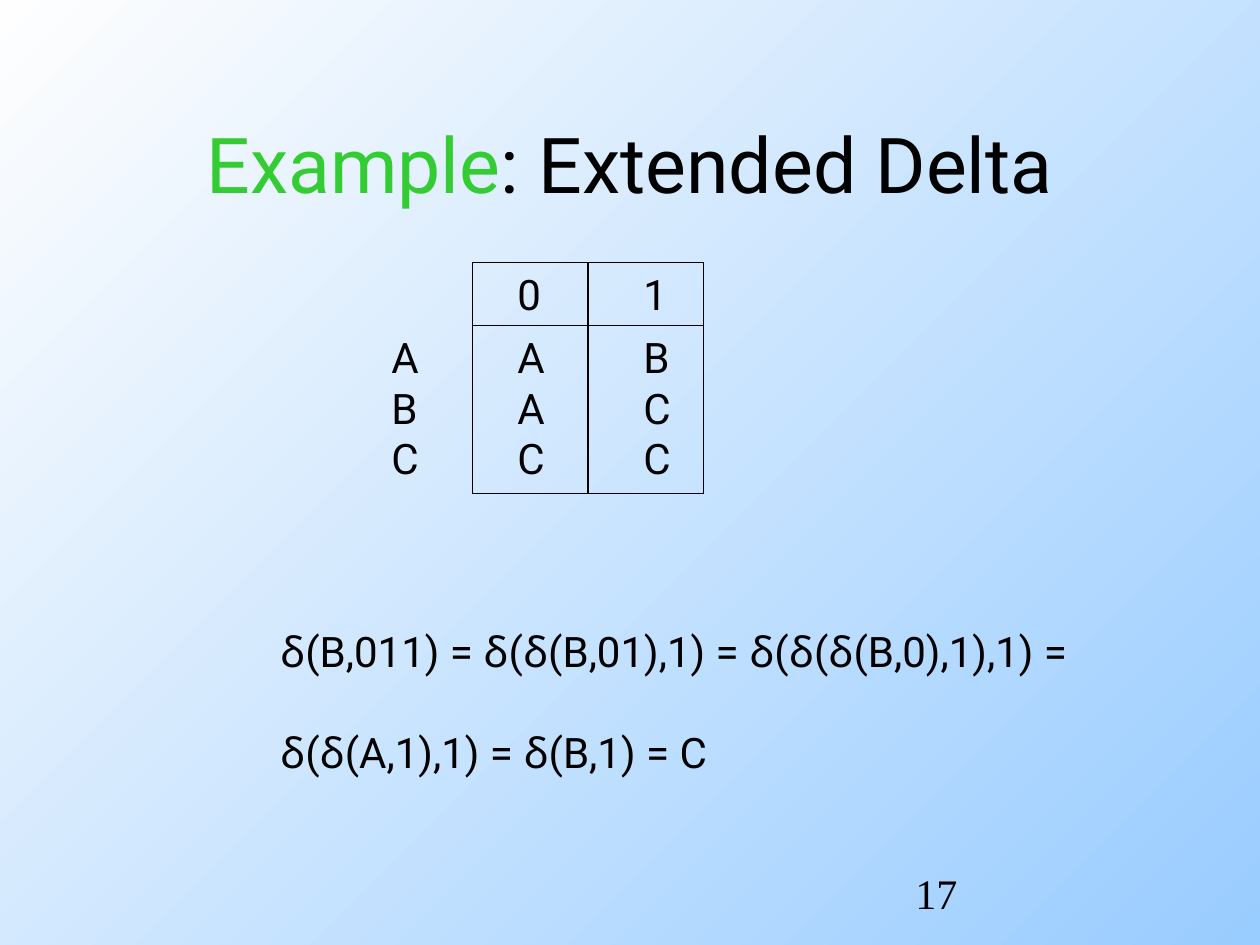
from dataclasses import dataclass
from itertools import groupby

from lxml import etree
from pptx import Presentation
from pptx.dml.color import RGBColor
from pptx.enum.shapes import MSO_CONNECTOR, MSO_SHAPE
from pptx.enum.text import MSO_ANCHOR, MSO_AUTO_SIZE, PP_ALIGN
from pptx.oxml.ns import qn
from pptx.util import Inches, Pt

STRAIGHT = MSO_CONNECTOR.STRAIGHT
RECTANGLE = MSO_SHAPE.RECTANGLE
MIDDLE = MSO_ANCHOR.MIDDLE
CENTER, LEFT = PP_ALIGN.CENTER, PP_ALIGN.LEFT
FIT_SHAPE, NO_FIT = MSO_AUTO_SIZE.SHAPE_TO_FIT_TEXT, MSO_AUTO_SIZE.NONE
TOP_SIDE, BOTTOM_SIDE = 0, 2
TITLE_ONLY = 5
COLUMNS, ROWS = 120, 90


@dataclass(frozen=True)
class Theme:
    ink: str = "000000"
    accent: str = "33CC33"
    background: tuple = ("99CCFF", "FEFEFE")
    background_angle: int = 135
    font: str = "Roboto"
    greek_font: str = "Noto Sans Mono"
    number_font: str = "Times New Roman"
    title_size: int = 44
    text_size: int = 24
    line_width: float = 0.75


def color(value):
    return RGBColor.from_string(value)


def write(paragraph, text, *, font, size, ink, greek_font=None):
    """Add text to a paragraph, setting each delta in the Greek font."""
    for is_delta, letters in groupby(text, lambda letter: letter == "δ"):
        run = paragraph.add_run()
        run.text = "".join(letters)
        run.font.name = greek_font if is_delta and greek_font else font
        run.font.size = Pt(size)
        run.font.color.rgb = color(ink)


def set_tabs(paragraph, stops):
    tab_list = etree.SubElement(paragraph._p.get_or_add_pPr(), qn("a:tabLst"))
    for stop in stops:
        etree.SubElement(tab_list, qn("a:tab"), pos=str(Inches(stop)), algn="l")


class SlideBuilder:
    """Places styled elements on a grid of columns and rows."""

    def __init__(self, presentation, theme):
        self.theme = theme
        self.column = presentation.slide_width // COLUMNS
        self.row = presentation.slide_height // ROWS
        self.slide = presentation.slides.add_slide(
            presentation.slide_layouts[TITLE_ONLY])
        self.shapes = self.slide.shapes

    def box(self, left, top, width, height):
        return (round(left * self.column), round(top * self.row),
                round(width * self.column), round(height * self.row))

    def background(self):
        fill = self.slide.background.fill
        fill.gradient()
        fill.gradient_angle = self.theme.background_angle
        for stop, value in zip(fill.gradient_stops, self.theme.background):
            stop.color.rgb = color(value)

    def title(self, parts, *box):
        title = self.slide.shapes.title
        title.left, title.top, title.width, title.height = self.box(*box)
        frame = title.text_frame
        frame.auto_size = NO_FIT
        frame.vertical_anchor = MIDDLE
        paragraph = frame.paragraphs[0]
        paragraph.alignment = CENTER
        for text, ink in parts:
            write(paragraph, text, font=self.theme.font,
                  size=self.theme.title_size, ink=ink)

    def text(self, lines, *box, font=None, tabs=(), gap=0, wrap=False):
        frame = self.shapes.add_textbox(*self.box(*box)).text_frame
        frame.word_wrap = wrap
        frame.auto_size = NO_FIT if wrap else FIT_SHAPE
        for index, line in enumerate(lines):
            paragraph = frame.add_paragraph() if index else frame.paragraphs[0]
            if tabs:
                set_tabs(paragraph, tabs)
            paragraph.alignment = LEFT
            if index and gap:
                paragraph.space_before = Pt(gap)
            write(paragraph, line, font=font or self.theme.font,
                  size=self.theme.text_size, ink=self.theme.ink,
                  greek_font=self.theme.greek_font)

    def outline(self, *box):
        shape = self.shapes.add_shape(RECTANGLE, *self.box(*box))
        shape.shadow.inherit = False
        shape.fill.background()
        self.style_line(shape.line)
        return shape

    def line(self, left, top, width, height):
        x, y, across, down = self.box(left, top, width, height)
        connector = self.shapes.add_connector(STRAIGHT, x, y, x + across, y + down)
        self.style_line(connector.line)
        etree.SubElement(connector._element.spPr, qn("a:effectLst"))
        return connector

    def style_line(self, line):
        line.color.rgb = color(self.theme.ink)
        line.width = Pt(self.theme.line_width)

    def transition_table(self, symbols, states, left, top, size, header):
        """Draw the frame and dividers, with state names left of the frame."""
        self.shapes = self.slide.shapes.add_group_shape().shapes
        frame = self.outline(left, top, size, size)
        self.line(left, top + header, size, 0)
        divider = self.line(left + size / 2, top, 0, size)
        divider.begin_connect(frame, TOP_SIDE)
        divider.end_connect(frame, BOTTOM_SIDE)

        # Symbols and states share tab stops one inch apart
        names, step = left - 8.9, 12
        for index, symbol in enumerate(symbols, start=1):
            self.text([symbol], names + index * step, top, 4.7, header)
        # The box reaches past the last tab stop, so no row breaks
        self.text(["\t".join(state) for state in states],
                  names, top + header, 31, 15.6, tabs=(1, 2), wrap=True)
        self.shapes = self.slide.shapes


def main():
    presentation = Presentation()
    presentation.slide_width, presentation.slide_height = Inches(10), Inches(7.5)
    theme = Theme()
    builder = SlideBuilder(presentation, theme)

    # Background and title
    builder.background()
    builder.title([("Example", theme.accent), (": Extended Delta", theme.ink)],
                  9, 8, 102, 15)

    # Transition table: each state followed by its successors on 0 and 1
    builder.transition_table("01", ["AAB", "BAC", "CCC"],
                             left=45, top=25, size=22, header=6)

    # Derivation
    builder.text(["δ(B,011) = δ(δ(B,01),1) = δ(δ(δ(B,0),1),1) =",
                  "δ(δ(A,1),1) = δ(B,1) = C"],
                 25.5, 59, 78, 15.6, gap=28.8)

    # Slide number
    builder.text(["17"], 86, 82, 25, 6, font=theme.number_font, wrap=True)

    presentation.save("out.pptx")


if __name__ == "__main__":
    main()
